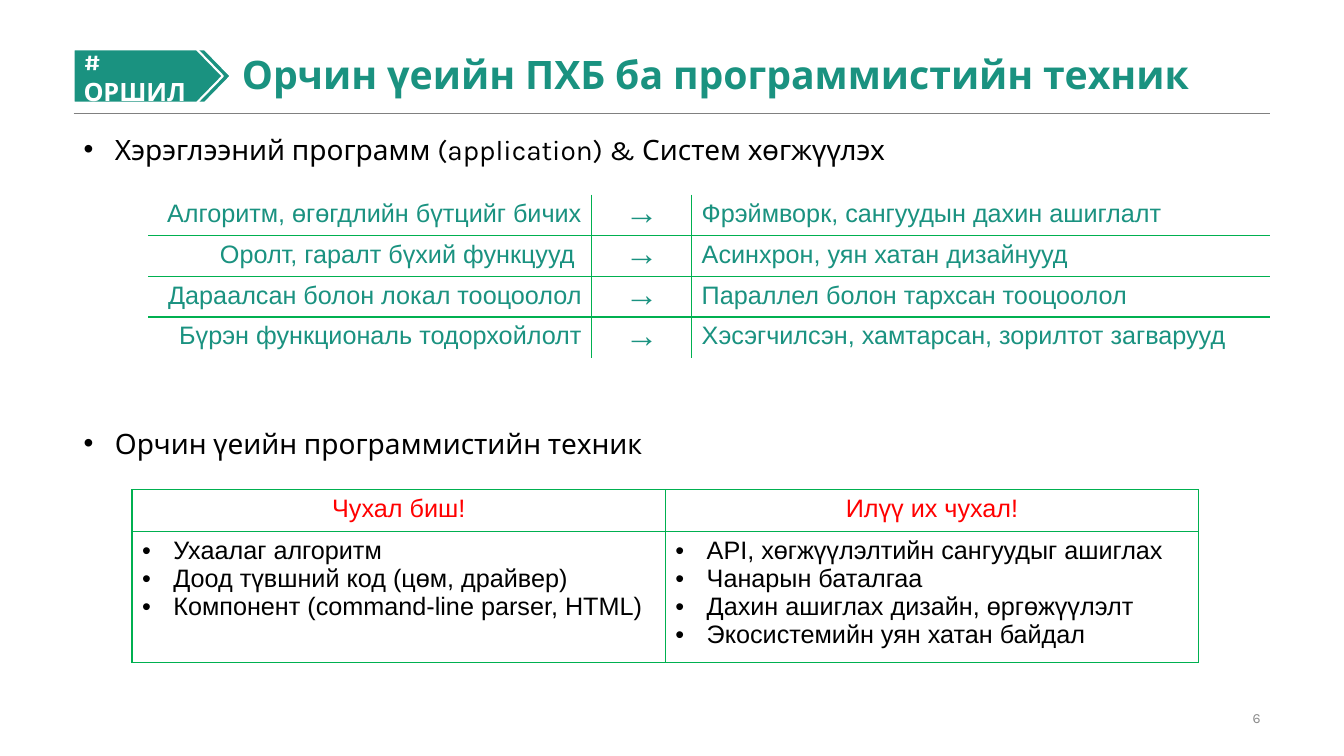
from dataclasses import dataclass

from lxml import etree
from pptx import Presentation
from pptx import util as u
from pptx.dml.color import RGBColor
from pptx.enum import shapes, text
from pptx.oxml import ns

TEAL, GREEN, RED = "1A9280", "00B050", "FF0000"
BLACK, WHITE, GRAY, PAGE_GRAY = "000000", "FFFFFF", "808080", "8C8C8C"
LEFT, RIGHT = 0.73, 12.6
ALIGN = text.PP_ALIGN
ANCHOR = text.MSO_ANCHOR


@dataclass
class Style:
    size: float
    color: str
    font: str = "Arial"
    bold: bool = False
    align: ALIGN = ALIGN.LEFT
    bullet: bool = False
    spacing: float = 1.0


@dataclass
class Box:
    left: float
    top: float
    width: float
    height: float

    def lengths(self) -> list:
        return [u.Inches(v) for v in (self.left, self.top, self.width, self.height)]


@dataclass
class Grid:
    box: Box
    widths: list[float]
    heights: list[float]
    rows: list[list[str]]
    styles: list[list[Style]]
    outlined: bool
    fill: str = ""


def rgb(value: str) -> RGBColor:
    return RGBColor.from_string(value)


def add_bullet(p) -> None:
    pPr = p._p.get_or_add_pPr()
    pPr.set("marL", str(u.Inches(0.31)))
    pPr.set("indent", str(u.Inches(-0.31)))
    etree.SubElement(pPr, ns.qn("a:buFont")).set("typeface", "Arial")
    etree.SubElement(pPr, ns.qn("a:buChar")).set("char", "•")


def write(tf, content: str, style: Style) -> None:
    tf.text = content
    for p in tf.paragraphs:
        if style.bullet:
            add_bullet(p)
        p.alignment = style.align
        p.line_spacing = style.spacing
        p.space_before = u.Pt(0)
        for r in p.runs:
            r.font.name = style.font
            r.font.size = u.Pt(style.size)
            r.font.bold = style.bold
            r.font.color.rgb = rgb(style.color)


def place(sp, box: Box, content: str, style: Style, anchor: ANCHOR) -> None:
    sp.left, sp.top, sp.width, sp.height = box.lengths()
    tf = sp.text_frame
    tf.word_wrap = True
    tf.auto_size = text.MSO_AUTO_SIZE.NONE
    tf.vertical_anchor = anchor
    write(tf, content, style)


def add_tag(s, width: float):
    sp = s.shapes.add_shape(shapes.MSO_SHAPE.PENTAGON, *Box(LEFT, 0.49, width, 0.53).lengths())
    sp.adjustments[0] = 0.486
    sp.shadow.inherit = False
    sp.fill.solid()
    sp.fill.fore_color.rgb = rgb(TEAL)
    sp.line.color.rgb = rgb(WHITE)
    sp.line.width = u.Pt(1.5)
    return sp


def add_rule(s, top: float) -> None:
    ends = [u.Inches(v) for v in (LEFT, top, RIGHT, top)]
    line = s.shapes.add_connector(shapes.MSO_CONNECTOR.STRAIGHT, *ends)
    line.line.color.rgb = rgb(GRAY)
    line.line.width = u.Pt(0.25)
    etree.SubElement(line._element.spPr, ns.qn("a:effectLst"))


def set_borders(cell, edges: dict[str, bool]) -> None:
    tcPr = cell._tc.get_or_add_tcPr()
    for side, visible in edges.items():
        ln = etree.SubElement(tcPr, ns.qn(f"a:ln{side}"), w=str(u.Pt(1)))
        if visible:
            solid = etree.SubElement(ln, ns.qn("a:solidFill"))
            etree.SubElement(solid, ns.qn("a:srgbClr"), val=GREEN)
        else:
            etree.SubElement(ln, ns.qn("a:noFill"))


def add_grid(s, grid: Grid) -> None:
    n_rows, n_cols = len(grid.heights), len(grid.widths)
    table = s.shapes.add_table(n_rows, n_cols, *grid.box.lengths()).table
    table.first_row = table.horz_banding = False
    for column, width in zip(table.columns, grid.widths):
        column.width = u.Inches(width)
    for row, height in zip(table.rows, grid.heights):
        row.height = u.Inches(height)
    for i in range(n_rows):
        for j in range(n_cols):
            cell = table.cell(i, j)
            set_borders(cell, {
                "L": grid.outlined or j > 0,
                "R": grid.outlined or j < n_cols - 1,
                "T": grid.outlined or i > 0,
                "B": grid.outlined or i < n_rows - 1,
            })
            if grid.fill:
                cell.fill.solid()
                cell.fill.fore_color.rgb = rgb(grid.fill)
            else:
                cell.fill.background()
            if grid.rows[i][j] == "→":
                cell.margin_left = cell.margin_right = 0
                cell.margin_top = cell.margin_bottom = 0
            write(cell.text_frame, grid.rows[i][j], grid.styles[i][j])


SHIFTS = [
    ("Алгоритм, өгөгдлийн бүтцийг бичих", "Фрэймворк, сангуудын дахин ашиглалт"),
    ("Оролт, гаралт бүхий функцууд ", "Асинхрон, уян хатан дизайнууд"),
    ("Дараалсан болон локал тооцоолол", "Параллел болон тархсан тооцоолол"),
    ("Бүрэн функциональ тодорхойлолт", "Хэсэгчилсэн, хамтарсан, зорилтот загварууд"),
]
SHIFT_STYLES = [
    Style(18, TEAL, align=ALIGN.RIGHT),
    Style(24, TEAL, align=ALIGN.CENTER),
    Style(18, TEAL),
]
PRIORITIES = [
    ["Чухал биш!", "Илүү их чухал!"],
    [
        "Ухаалаг алгоритм\nДоод түвшний код (цөм, драйвер)\n"
        "Компонент (command-line parser, HTML)",
        "API, хөгжүүлэлтийн сангуудыг ашиглах\nЧанарын баталгаа\n"
        "Дахин ашиглах дизайн, өргөжүүлэлт\nЭкосистемийн уян хатан байдал",
    ],
]
HEADER = Style(18, RED, align=ALIGN.CENTER)
ITEM = Style(18, BLACK, align=ALIGN.JUSTIFY, bullet=True)
HEADINGS = [
    (1.26, "Хэрэглээний программ (application) & Систем хөгжүүлэх"),
    (4.18, "Орчин үеийн программистийн техник"),
]


def main() -> None:
    prs = Presentation()
    prs.slide_width, prs.slide_height = u.Inches(13.33), u.Inches(7.5)
    s = prs.slides.add_slide(prs.slide_layouts[3])
    title, *bodies = s.placeholders

    add_rule(s, 1.12)
    place(title, Box(2.3, 0.49, 10.3, 0.53), "Орчин үеийн ПХБ ба программистийн техник",
          Style(28, TEAL, "Karla", bold=True, spacing=0.9), ANCHOR.BOTTOM)
    for body, (top, heading) in zip(bodies, HEADINGS):
        place(body, Box(LEFT, top, 11.74, 0.44), heading,
              Style(20, BLACK, "Karla", bullet=True), ANCHOR.TOP)

    add_grid(s, Grid(Box(1.47, 1.93, 11.13, 1.62), [4.4, 0.99, 5.74], [0.405] * 4,
                     [[old, "→", new] for old, new in SHIFTS], [SHIFT_STYLES] * 4,
                     outlined=False, fill=WHITE))
    add_grid(s, Grid(Box(1.31, 4.86, 10.58, 1.71), [5.29] * 2, [0.41, 1.3],
                     PRIORITIES, [[HEADER] * 2, [ITEM] * 2], outlined=True))

    add_tag(s, 1.56)
    place(add_tag(s, 1.48), Box(LEFT, 0.49, 1.48, 0.53), "# ОРШИЛ",
          Style(18, WHITE, "Karla", bold=True), ANCHOR.MIDDLE)

    number = Box(9.42, 7.01, 3.18, 0.23)
    place(s.shapes.add_textbox(*number.lengths()), number, "6",
          Style(10, PAGE_GRAY, "Karla", align=ALIGN.RIGHT), ANCHOR.MIDDLE)
    prs.save("out.pptx")


if __name__ == "__main__":
    main()
